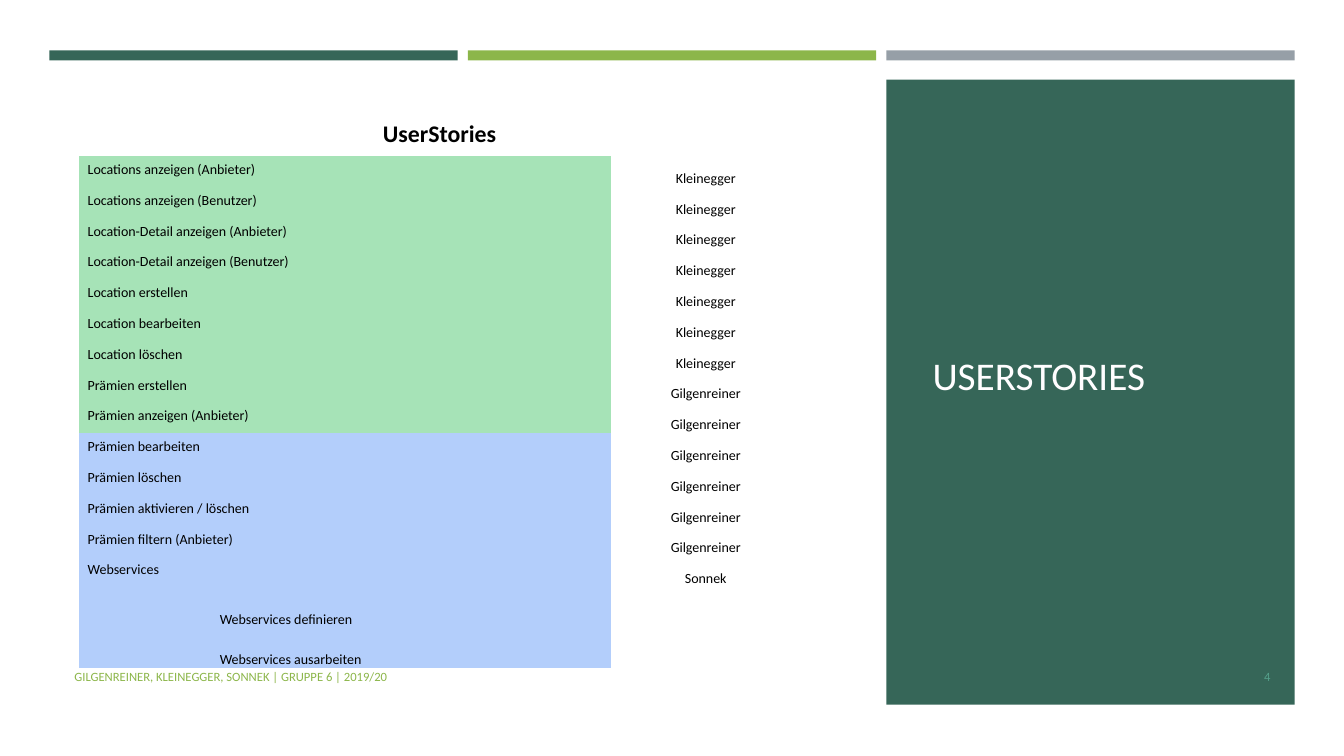
from pptx import Presentation
from pptx.dml.color import RGBColor
from pptx.enum.shapes import MSO_SHAPE
from pptx.enum.text import MSO_ANCHOR, PP_ALIGN
from pptx.util import Inches, Pt

COLORS = {
    "dark_green": "366658", "lime": "8CB64A", "gray": "969FA7",
    "white": "FFFEFF", "black": "000000", "number": "55A08A",
    "done": "A6E3B7", "open": "B3CEFB",
}
NO_STYLE = "{2D5ABB26-0587-4C30-8999-92F81FD0307C}"


def write(frame, text, size=10, color="black", bold=False, align=PP_ALIGN.LEFT):
    frame.word_wrap = True
    paragraph = frame.paragraphs[0]
    paragraph.alignment = align
    run = paragraph.add_run()
    run.text = text
    run.font.name = "Calibri"
    run.font.size = Pt(size)
    run.font.bold = bold
    run.font.color.rgb = RGBColor.from_string(COLORS[color])


def fill_solid(item, color):
    item.fill.solid()
    item.fill.fore_color.rgb = RGBColor.from_string(COLORS[color])


presentation = Presentation()
presentation.slide_width = Inches(13.33)
presentation.slide_height = Inches(7.5)
slide = presentation.slides.add_slide(presentation.slide_layouts[5])

blocks = [(0.49 + 4.15 * index, 0.5, 0.1, color)
          for index, color in enumerate(["dark_green", "lime", "gray"])]
blocks.append((8.79, 0.79, 6.2, "dark_green"))
for left, top, height, color in blocks:
    block = slide.shapes.add_shape(
        MSO_SHAPE.RECTANGLE, Inches(left), Inches(top), Inches(4.05), Inches(height))
    block.shadow.inherit = False
    block.line.fill.background()
    fill_solid(block, color)

title = slide.shapes.title
slide.shapes._spTree.append(title._element)
title.left, title.top = Inches(9.15), Inches(1.14)
title.width, title.height = Inches(3.34), Inches(5.15)
title.text_frame.vertical_anchor = MSO_ANCHOR.MIDDLE
write(title.text_frame, "USERSTORIES", size=28, color="white")

for left, width, text, color, align in [
    (0.64, 7.56, "GILGENREINER, KLEINEGGER, SONNEK | GRUPPE 6 | 2019/20", "lime", PP_ALIGN.LEFT),
    (11.55, 1.15, "4", "number", PP_ALIGN.RIGHT),
]:
    footer = slide.shapes.add_textbox(Inches(left), Inches(6.51), Inches(width), Inches(0.4))
    footer.text_frame.vertical_anchor = MSO_ANCHOR.MIDDLE
    write(footer.text_frame, text, size=9, color=color, align=align)

stories = [
    ("Locations anzeigen (Anbieter)", "Kleinegger"),
    ("Locations anzeigen (Benutzer)", "Kleinegger"),
    ("Location-Detail anzeigen (Anbieter)", "Kleinegger"),
    ("Location-Detail anzeigen (Benutzer)", "Kleinegger"),
    ("Location erstellen", "Kleinegger"),
    ("Location bearbeiten", "Kleinegger"),
    ("Location löschen", "Kleinegger"),
    ("Prämien erstellen", "Gilgenreiner"),
    ("Prämien anzeigen (Anbieter)", "Gilgenreiner"),
    ("Prämien bearbeiten", "Gilgenreiner"),
    ("Prämien löschen", "Gilgenreiner"),
    ("Prämien aktivieren / löschen", "Gilgenreiner"),
    ("Prämien filtern (Anbieter)", "Gilgenreiner"),
    ("Webservices", "Sonnek"),
]
subtasks = ["Webservices definieren", "Webservices ausarbeiten"]
done_count = 9

rows = [("UserStories", "", "")]
rows += [(story, "", person) for story, person in stories]
rows += [("", subtask, "") for subtask in subtasks]
heights = [0.41] + [4.28 / len(stories)] * len(stories) + [0.28] * len(subtasks)

graphic_frame = slide.shapes.add_table(
    len(rows), 3, Inches(0.78), Inches(1.14), Inches(7.16), Inches(sum(heights)))
table = graphic_frame.table
table.first_row = False
table.horz_banding = False
table._tbl.tblPr[0].text = NO_STYLE
for column, width in zip(table.columns, [1.39, 3.89, 1.88]):
    column.width = Inches(width)

for row_index, (texts, height) in enumerate(zip(rows, heights)):
    table.rows[row_index].height = Inches(height)
    for column_index, text in enumerate(texts):
        cell = table.cell(row_index, column_index)
        is_header = row_index == 0
        if is_header or column_index == 2:
            cell.fill.background()
        else:
            fill_solid(cell, "done" if row_index <= done_count else "open")
        if column_index:
            cell.vertical_anchor = MSO_ANCHOR.BOTTOM
            cell.margin_left = cell.margin_right = cell.margin_top = Inches(0.01)
            cell.margin_bottom = 0
        else:
            cell.margin_left = cell.margin_right = Inches(0.09)
        centered = is_header or column_index == 2
        write(cell.text_frame, text, size=17 if is_header else 10, bold=is_header,
              align=PP_ALIGN.CENTER if centered else PP_ALIGN.LEFT)

table.cell(0, 0).merge(table.cell(0, 2))
for row_index in range(1, len(stories) + 1):
    table.cell(row_index, 0).merge(table.cell(row_index, 1))

presentation.save("out.pptx")
